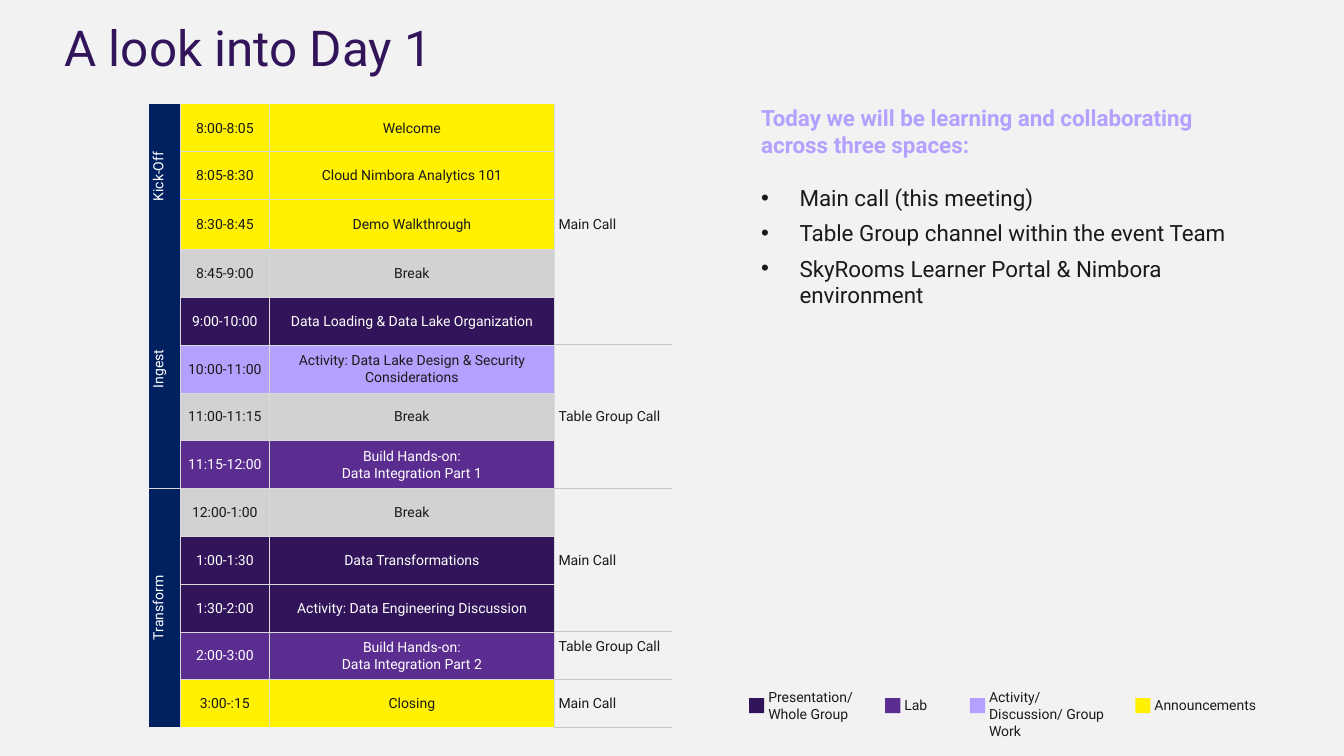
from dataclasses import dataclass
from enum import Enum

from lxml.etree import SubElement
from pptx import Presentation
from pptx.dml.color import RGBColor
from pptx.enum.shapes import MSO_SHAPE
from pptx.enum.text import MSO_ANCHOR, MSO_AUTO_SIZE, PP_ALIGN
from pptx.oxml.ns import qn
from pptx.util import Inches, Pt

PURPLE = RGBColor(0x32, 0x14, 0x5A)
VIOLET = RGBColor(0x5C, 0x2D, 0x91)
LILAC = RGBColor(0xB4, 0xA0, 0xFF)
YELLOW = RGBColor(0xFF, 0xF1, 0x00)
GRAY = RGBColor(0xD2, 0xD2, 0xD2)
NAVY = RGBColor(0x00, 0x20, 0x60)
PAPER = RGBColor(0xF2, 0xF2, 0xF2)
INK = RGBColor(0x1A, 0x1A, 0x1A)
WHITE = RGBColor(0xFF, 0xFF, 0xFF)
GRID = RGBColor(0xD9, 0xD9, 0xD9)
RULE = RGBColor(0xC6, 0xC6, 0xC6)

THIN = (GRID, 0.25)
THICK = (RULE, 1)


class Kind(Enum):
    """Session type, as (fill, text colour)."""
    PRESENTATION = (PURPLE, WHITE)
    LAB = (VIOLET, WHITE)
    ACTIVITY = (LILAC, INK)
    ANNOUNCEMENT = (YELLOW, INK)
    BREAK = (GRAY, INK)


@dataclass
class Session:
    time: str
    topic: str
    kind: Kind


@dataclass
class Span:
    """A label that covers several sessions."""
    label: str
    sessions: int
    bottom_inset: float = 0


@dataclass
class LegendEntry:
    label: str
    kind: Kind
    width: float
    lines: int


SESSIONS = [
    Session("8:00-8:05", "Welcome", Kind.ANNOUNCEMENT),
    Session("8:05-8:30", "Cloud Nimbora Analytics 101", Kind.ANNOUNCEMENT),
    Session("8:30-8:45", "Demo Walkthrough", Kind.ANNOUNCEMENT),
    Session("8:45-9:00", "Break", Kind.BREAK),
    Session("9:00-10:00", "Data Loading & Data Lake Organization", Kind.PRESENTATION),
    Session("10:00-11:00", "Activity: Data Lake Design & Security Considerations", Kind.ACTIVITY),
    Session("11:00-11:15", "Break", Kind.BREAK),
    Session("11:15-12:00", "Build Hands-on:\nData Integration Part 1", Kind.LAB),
    Session("12:00-1:00", "Break", Kind.BREAK),
    Session("1:00-1:30", "Data Transformations", Kind.PRESENTATION),
    Session("1:30-2:00", "Activity: Data Engineering Discussion", Kind.PRESENTATION),
    Session("2:00-3:00", "Build Hands-on:\nData Integration Part 2", Kind.LAB),
    Session("3:00-:15", "Closing", Kind.ANNOUNCEMENT),
]
STAGES = [Span("Kick-Off", 3), Span("Ingest", 5), Span("Transform", 5)]
CALLS = [
    Span("Main Call", 5),
    Span("Table Group Call", 3),
    Span("Main Call", 3),
    Span("Table Group Call", 1, 0.18),
    Span("Main Call", 1),
]
LEGEND = [
    LegendEntry("Presentation/\nWhole Group", Kind.PRESENTATION, 0.97, 2),
    LegendEntry("Lab", Kind.LAB, 0.46, 1),
    LegendEntry("Activity/ Discussion/ Group Work", Kind.ACTIVITY, 1.26, 2),
    LegendEntry("Announcements", Kind.ANNOUNCEMENT, 1.16, 1),
]
SPACES = [
    "Main call (this meeting)",
    "Table Group channel within the event Team",
    "SkyRooms Learner Portal & Nimbora environment",
]


def apply(target, **values) -> None:
    for name, value in values.items():
        setattr(target, name, value)


def place(shape, left: float, top: float, width: float, height: float) -> None:
    apply(shape, left=Inches(left), top=Inches(top), width=Inches(width), height=Inches(height))


def set_insets(holder, side: float, end: float) -> None:
    apply(holder, margin_left=Inches(side), margin_right=Inches(side),
          margin_top=Inches(end), margin_bottom=Inches(end))


def style(paragraph, size: float, color: RGBColor, bold: bool = False, **layout) -> None:
    apply(paragraph, **layout)
    apply(paragraph.font, size=Pt(size), name="Roboto", bold=bold)
    paragraph.font.color.rgb = color


def set_bullet(paragraph, bullet: str = "", indent: float = 0) -> None:
    properties = paragraph._p.get_or_add_pPr()
    properties.set("marL", str(Inches(indent)))
    properties.set("indent", str(-Inches(indent)))
    if bullet:
        SubElement(properties, qn("a:buChar")).set("char", bullet)
    else:
        SubElement(properties, qn("a:buNone"))


def set_borders(cell, **edges) -> None:
    """Draw the edges given as L, R, T or B and clear the others."""
    properties = cell._tc.get_or_add_tcPr()
    for side in "LRTB":
        line = SubElement(properties, qn(f"a:ln{side}"))
        edge = edges.get(side)
        if edge:
            color, width = edge
            line.set("w", str(Pt(width)))
            fill = SubElement(line, qn("a:solidFill"))
            SubElement(fill, qn("a:srgbClr")).set("val", str(color))
        else:
            SubElement(line, qn("a:noFill"))


def fill_cell(cell, text: str, fill: RGBColor, color: RGBColor, side: float,
              alignment=PP_ALIGN.CENTER) -> None:
    cell.text = text
    cell.vertical_anchor = MSO_ANCHOR.MIDDLE
    set_insets(cell, side, 0)
    cell.fill.solid()
    cell.fill.fore_color.rgb = fill
    for paragraph in cell.text_frame.paragraphs:
        style(paragraph, 10, color, alignment=alignment, line_spacing=1.07)


def add_spans(agenda, column: int, spans: list[Span], sides: dict, divider: tuple,
              closed: bool, **look) -> None:
    """Fill a column with merged labels; closed also rules the table's bottom."""
    start = 0
    for span in spans:
        end = start + span.sessions - 1
        for row in range(start, end + 1):
            top = divider if row == start and row else None
            bottom = divider if row == end and (closed or row < len(SESSIONS) - 1) else None
            set_borders(agenda.cell(row, column), T=top, B=bottom, **sides)
        label = agenda.cell(start, column)
        fill_cell(label, span.label, **look)
        label.margin_bottom = Inches(span.bottom_inset)
        if end > start:
            label.merge(agenda.cell(end, column))
        start = end + 1


def add_agenda(slide) -> None:
    agenda = slide.shapes.add_table(len(SESSIONS), 4, Inches(1.48), Inches(1.03),
                                    Inches(5.19), Inches(6.17)).table
    apply(agenda, first_row=False, horz_banding=False)
    for column, width in zip(agenda.columns, (0.31, 0.88, 2.83, 1.17)):
        column.width = Inches(width)
    for row, session in enumerate(SESSIONS):
        fill, color = session.kind.value
        for column, text, side in ((1, session.time, 0.07), (2, session.topic, 0.04)):
            cell = agenda.cell(row, column)
            set_borders(cell, L=THIN, R=THIN, T=THIN if row else None,
                        B=THIN if row < len(SESSIONS) - 1 else None)
            fill_cell(cell, text, fill, color, side)
    add_spans(agenda, 0, STAGES, {"R": THIN}, THIN, False,
              fill=NAVY, color=WHITE, side=0.07)
    add_spans(agenda, 3, CALLS, {"L": THIN}, THICK, True,
              fill=PAPER, color=INK, side=0.04, alignment=PP_ALIGN.LEFT)
    for row in range(len(SESSIONS)):
        agenda.cell(row, 0)._tc.get_or_add_tcPr().set("vert", "vert270")


def add_title(slide) -> None:
    title = slide.shapes.title
    place(title, 0.44, 0.08, 4.52, 0.85)
    frame = title.text_frame
    frame.text = "A look into Day 1"
    apply(frame, auto_size=MSO_AUTO_SIZE.NONE, vertical_anchor=MSO_ANCHOR.TOP, word_wrap=True)
    set_insets(frame, 0.2, 0.16)
    style(frame.paragraphs[0], 35.3, PURPLE, alignment=PP_ALIGN.LEFT, line_spacing=0.9)


def add_spaces(slide) -> None:
    body = slide.placeholders[1]
    place(body, 7.55, 1.03, 4.89, 2.05)
    frame = body.text_frame
    apply(frame, auto_size=MSO_AUTO_SIZE.NONE, vertical_anchor=MSO_ANCHOR.TOP, word_wrap=True)
    set_insets(frame, 0, 0)
    frame.text = "\n".join(
        ["Today we will be learning and collaborating across three spaces:", *SPACES])
    heading, *bullets = frame.paragraphs
    set_bullet(heading)
    style(heading, 16, LILAC, bold=True, space_before=Pt(0))
    for number, paragraph in enumerate(bullets):
        set_bullet(paragraph, "•", 0.38)
        style(paragraph, 16, INK, space_before=Pt(0 if number else 19), space_after=Pt(6))


def add_legend(slide) -> None:
    left, middle, swatch_size, line_height = 7.43, 7.0, 0.15, 0.17
    for entry in LEGEND:
        swatch = slide.shapes.add_shape(MSO_SHAPE.RECTANGLE, 0, 0, 0, 0)
        place(swatch, left, middle - swatch_size / 2, swatch_size, swatch_size)
        swatch.shadow.inherit = False
        swatch.fill.solid()
        swatch.fill.fore_color.rgb = entry.kind.value[0]
        swatch.line.fill.background()
        label = slide.shapes.add_textbox(0, 0, 0, 0)
        height = entry.lines * line_height
        place(label, left + 0.19, middle - height / 2, entry.width, height)
        frame = label.text_frame
        frame.word_wrap = True
        set_insets(frame, 0, 0)
        frame.text = entry.label
        for paragraph in frame.paragraphs:
            style(paragraph, 10, INK)
        left += 0.19 + entry.width + 0.19


def main() -> None:
    deck = Presentation()
    apply(deck, slide_width=Inches(13.33), slide_height=Inches(7.5))
    slide = deck.slides.add_slide(deck.slide_layouts[1])
    slide.background.fill.solid()
    slide.background.fill.fore_color.rgb = PAPER
    add_title(slide)
    add_agenda(slide)
    add_spaces(slide)
    add_legend(slide)
    deck.save("out.pptx")


if __name__ == "__main__":
    main()
